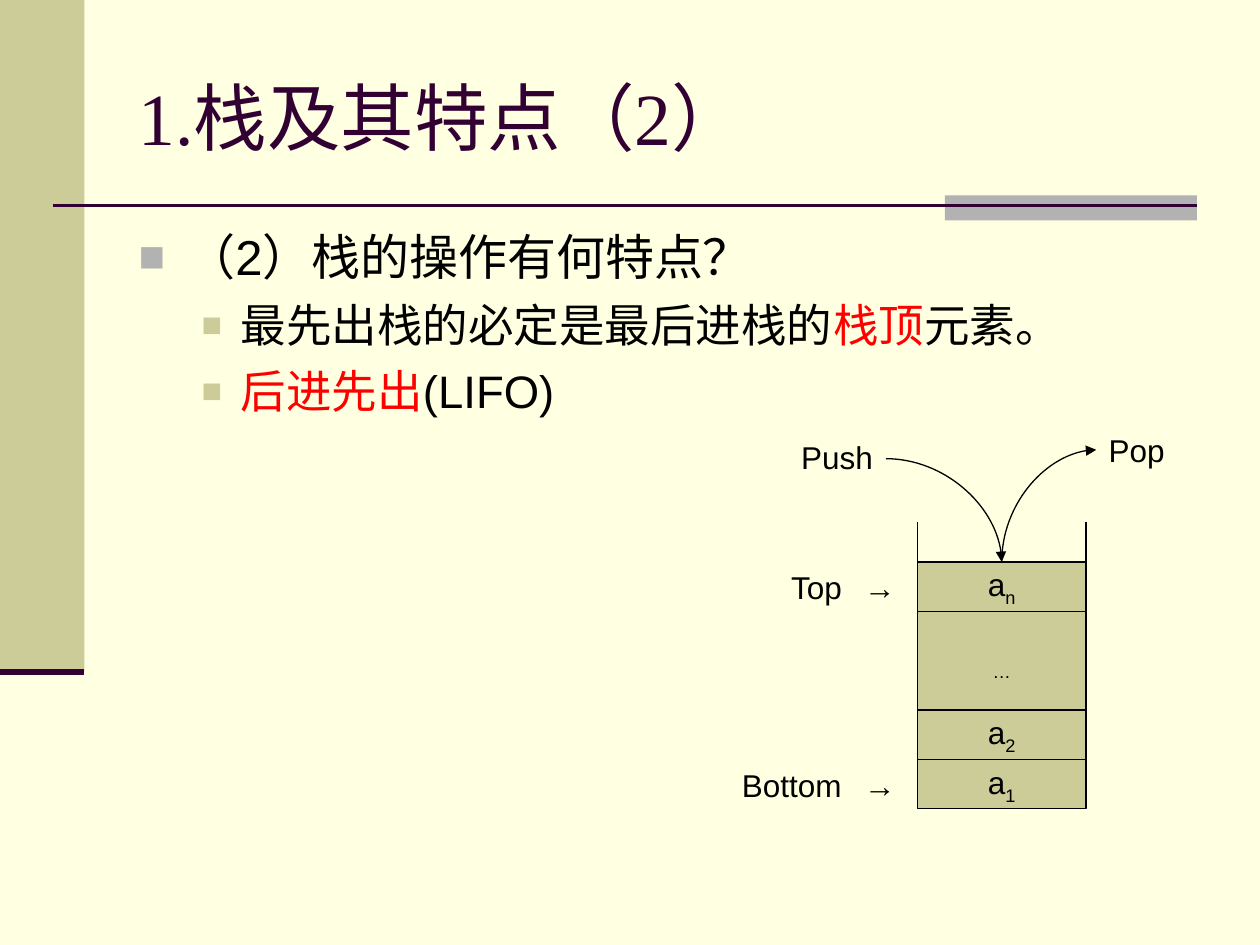
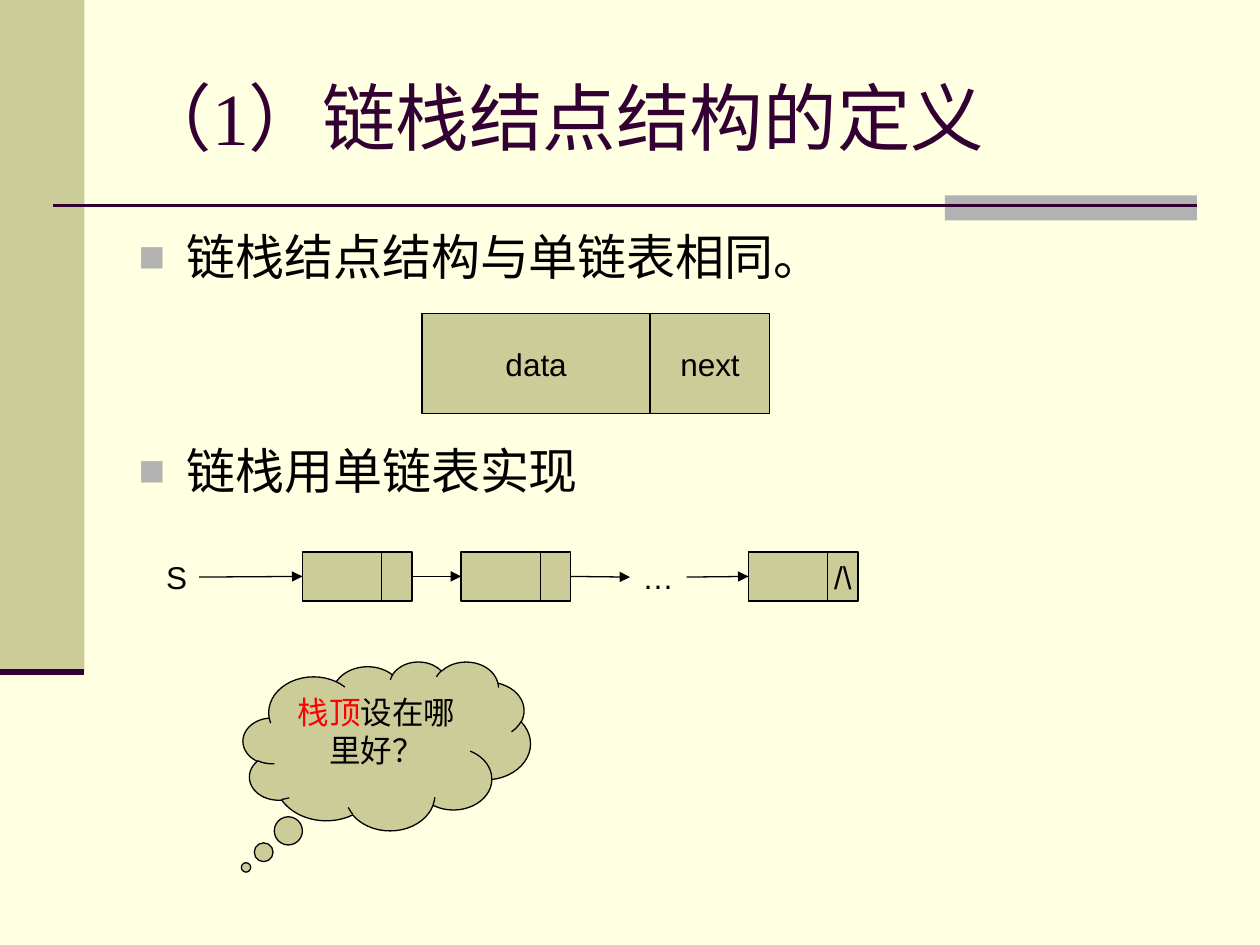
from lxml import etree
from pptx import Presentation
from pptx.dml.color import RGBColor
from pptx.enum.shapes import MSO_CONNECTOR as LINE, MSO_SHAPE as SHAPE
from pptx.enum.text import MSO_ANCHOR as ANCHOR, MSO_AUTO_SIZE as FIT, PP_ALIGN as ALIGN
from pptx.oxml.ns import qn
from pptx.util import Inches, Pt

# Shared style; the slide is a grid of 100 columns by 75 rows
COLS, ROWS = 100, 75
CELL = Inches(10) // COLS
CREAM, KHAKI, GREY, PLUM = "FFFFE1", "CCCC99", "B2B2B2", "330033"
BLACK, RED = "000000", "FF0000"
THIN = 0.75
LEFT, CENTER = ALIGN.LEFT, ALIGN.CENTER
# size, bullet size %, bullet colour, left margin, hanging indent, space before
LEVELS = [
    dict(size=28, pct=90, color=GREY, margin=0.38, hang=0.38, before=7),
    dict(size=26, pct=75, color=KHAKI, margin=0.81, hang=0.31, before=6.5),
]


def grid(*cells):
    return [round(c * CELL) for c in cells]


def rgb(color):
    return RGBColor.from_string(color)


def sub_element(parent, tag, **attrs):
    return etree.SubElement(parent, qn(tag), attrs)


# Text
def add_runs(p, runs, size=18, font="Arial"):
    """Each run is (text, colour) or (text, colour, baseline in percent)."""
    for text, color, *baseline in runs:
        r = p.add_run()
        r.text = text
        for name, value in dict(size=Pt(size), name=font).items():
            setattr(r.font, name, value)
        r.font.color.rgb = rgb(color)
        for percent in baseline:
            r._r.get_or_add_rPr().set("baseline", str(percent * 1000))


def add_label(s, text, x, y, w, arrow_at=None):
    """One-line label; no right margin, so the line has room to spare."""
    sp = s.shapes.add_textbox(*grid(x, y, w, 4))
    tf = sp.text_frame
    for name, value in dict(word_wrap=True, auto_size=FIT.NONE, margin_right=0).items():
        setattr(tf, name, value)
    p = tf.paragraphs[0]
    if arrow_at:
        tabs = sub_element(p._p.get_or_add_pPr(), "a:tabLst")
        stop = grid(arrow_at - x - 1)[0]
        sub_element(tabs, "a:tab", pos=str(stop), algn="l")
    add_runs(p, [(text, BLACK)])
    return sp


def set_title(s, text):
    p = s.shapes.title.text_frame.paragraphs[0]
    p.alignment = LEFT
    add_runs(p, [(text, PLUM)], 42, "Times New Roman")


def set_bullets(s, items):
    """Each item is (level, runs) or (level, runs, space before)."""
    tf = s.placeholders[1].text_frame
    tf.auto_size = FIT.NONE
    for i, (level, runs, *gap) in enumerate(items):
        p = tf.add_paragraph() if i else tf.paragraphs[0]
        style = LEVELS[level]
        p.level = level
        p.space_before = Pt((gap[0] if gap else style["before"]) if i else 0)
        pPr = p._p.get_or_add_pPr()
        pPr.set("marL", str(Inches(style["margin"])))
        pPr.set("indent", str(-Inches(style["hang"])))
        sub_element(sub_element(pPr, "a:buClr"), "a:srgbClr", val=style["color"])
        sub_element(pPr, "a:buSzPct", val=str(style["pct"] * 1000))
        sub_element(pPr, "a:buFont", typeface="Arial")
        sub_element(pPr, "a:buChar", char="■")
        add_runs(p, runs, style["size"])


# Shapes and lines
def add_box(s, x, y, w, h, runs=(), fill=KHAKI, outline=BLACK, kind=SHAPE.RECTANGLE):
    sp = s.shapes.add_shape(kind, *grid(x, y, w, h))
    sp.shadow.inherit = False
    sp.fill.solid()
    sp.fill.fore_color.rgb = rgb(fill)
    if outline:
        sp.line.color.rgb = rgb(outline)
        sp.line.width = Pt(THIN)
    else:
        sp.line.fill.background()
    if runs:
        tf = sp.text_frame
        tf.word_wrap, tf.vertical_anchor = False, ANCHOR.MIDDLE
        tf.paragraphs[0].alignment = CENTER
        add_runs(tf.paragraphs[0], runs)
    return sp


def add_line(s, x1, y1, x2, y2, color=BLACK, width=THIN, arrow=False, kind=LINE.STRAIGHT):
    cx = s.shapes.add_connector(kind, *grid(x1, y1, x2, y2))
    cx.line.color.rgb = rgb(color)
    cx.line.width = Pt(width)
    if arrow:
        sub_element(cx.line._get_or_add_ln(), "a:tailEnd", type="triangle")
    sub_element(cx._element.spPr, "a:effectLst")
    return cx


def add_curve(s, x1, y1, x2, y2, upward=False):
    """Quarter curve with an arrow; an upward one leaves vertically."""
    if upward:  # frame before the quarter turn
        mx, my = (x1 + x2) / 2, (y1 + y2) / 2
        dx, dy = abs(y2 - y1) / 2, abs(x2 - x1) / 2
        x1, y1, x2, y2 = mx - dx, my - dy, mx + dx, my + dy
    cx = add_line(s, x1, y1, x2, y2, arrow=True, kind=LINE.CURVE)
    spPr = cx._element.spPr
    spPr.find(qn("a:prstGeom")).set("prst", "curvedConnector2")
    if upward:
        for name, value in dict(rot="5400000", flipH="1", flipV="1").items():
            spPr.find(qn("a:xfrm")).set(name, value)


def join(s, start, end):
    """Arrow from the right side of one box to the left side of the next."""
    cx = add_line(s, 0, 0, 1, 1, arrow=True)
    cx.begin_connect(start, 3)
    cx.end_connect(end, 1)


# Layout shared by the slides
def prepare_layout(prs):
    layout = prs.slide_layouts[1]
    layout.background.fill.solid()
    layout.background.fill.fore_color.rgb = rgb(CREAM)
    frames = {0: (10, 3, 85, 12.5), 1: (10, 17.5, 85, 49.5)}
    for ph in list(layout.placeholders):
        frame = frames.get(ph.placeholder_format.idx)
        if frame:
            ph.left, ph.top, ph.width, ph.height = grid(*frame)
        else:
            ph.element.getparent().remove(ph.element)
    return layout


def add_bands(s, layout):
    """Draw the bands and rules, then hand them over to the layout."""
    bands = [
        add_box(s, 0, 0, 6.7, 53.3, outline=None),
        add_box(s, 75, 15.5, 20, 2, fill=GREY, outline=None),
        add_line(s, 4.2, 16.3, 95, 16.3, PLUM, 1.5),
        add_line(s, 0, 53.3, 6.7, 53.3, PLUM, 3.5),
    ]
    for sp in bands:
        layout.shapes.element.append(sp._element)


# Slide content
def draw_stack(s):
    left, width, top, bottom = 72.8, 13.4, 44.6, 64.2
    unit = (bottom - top) / 5
    middle = left + width / 2
    cells = [
        (1, [("a", BLACK), ("n", BLACK, -25)]),
        (2, [("…", BLACK, -25)]),
        (1, [("a", BLACK), ("2", BLACK, -25)]),
        (1, [("a", BLACK), ("1", BLACK, -25)]),
    ]
    y = top
    for units, runs in cells:
        add_box(s, left, y, width, units * unit, runs)
        y += units * unit
    for x in (left, left + width):
        add_line(s, x, top, x, top - 3.2)

    add_label(s, "Push", 62.6, 34.3, 7.7)
    add_label(s, "Pop", 87, 33.7, 6.4)
    add_curve(s, 70.3, 36.4, middle, top)
    add_curve(s, middle, top, 87, 35.7, upward=True)
    add_label(s, "Top\t→", 61.8, top, 10.2, arrow_at=68.6)
    add_label(s, "Bottom\t→", 57.9, bottom - unit, 14.1, arrow_at=68.6)


def draw_linked_list(s):
    top, height, data_w, next_w = 43.8, 3.9, 6.3, 2.4

    def add_node(x, mark=()):
        return (add_box(s, x, top, data_w, height),
                add_box(s, x + data_w, top, next_w, height, mark))

    head = add_label(s, "S", 12.2, top, 3.6)
    dots = add_label(s, "…", 50, top, 4.5)
    first, second = add_node(24), add_node(36.6)
    last = add_node(59.4, [("/\\", BLACK)])
    chain = [(head, head), first, second, (dots, dots), last]
    for (_, tail), (data, _) in zip(chain, chain[1:]):
        join(s, tail, data)


def draw_question(s):
    sp = add_box(s, 19.3, 52.5, 22.8, 13.4, [("栈顶", RED), ("设在哪里好？", BLACK)],
                 kind=SHAPE.CLOUD_CALLOUT)
    sp.adjustments[0], sp.adjustments[1] = -0.49, 0.72
    sp.text_frame.word_wrap = True
    sp.text_frame.vertical_anchor = ANCHOR.TOP


def main():
    prs = Presentation()
    prs.slide_width, prs.slide_height = COLS * CELL, ROWS * CELL
    layout = prepare_layout(prs)

    # Stack features
    s = prs.slides.add_slide(layout)
    add_bands(s, layout)
    set_title(s, "1.栈及其特点（2）")
    set_bullets(s, [
        (0, [("（2）栈的操作有何特点？", BLACK)]),
        (1, [("最先出栈的必定是最后进栈的", BLACK), ("栈顶", RED), ("元素。", BLACK)]),
        (1, [("后进先出", RED), ("(LIFO)", BLACK)]),
    ])
    draw_stack(s)

    # Linked stack node
    s = prs.slides.add_slide(layout)
    set_title(s, "（1）链栈结点结构的定义")
    set_bullets(s, [
        (0, [("链栈结点结构与单链表相同。", BLACK)]),
        (0, [("链栈用单链表实现", BLACK)], 88.5),
    ])
    add_box(s, 33.5, 24.9, 18.1, 7.9, [("data", BLACK)])
    add_box(s, 51.6, 24.9, 9.5, 7.9, [("next", BLACK)])
    draw_linked_list(s)
    draw_question(s)

    prs.save("out.pptx")


if __name__ == "__main__":
    main()
